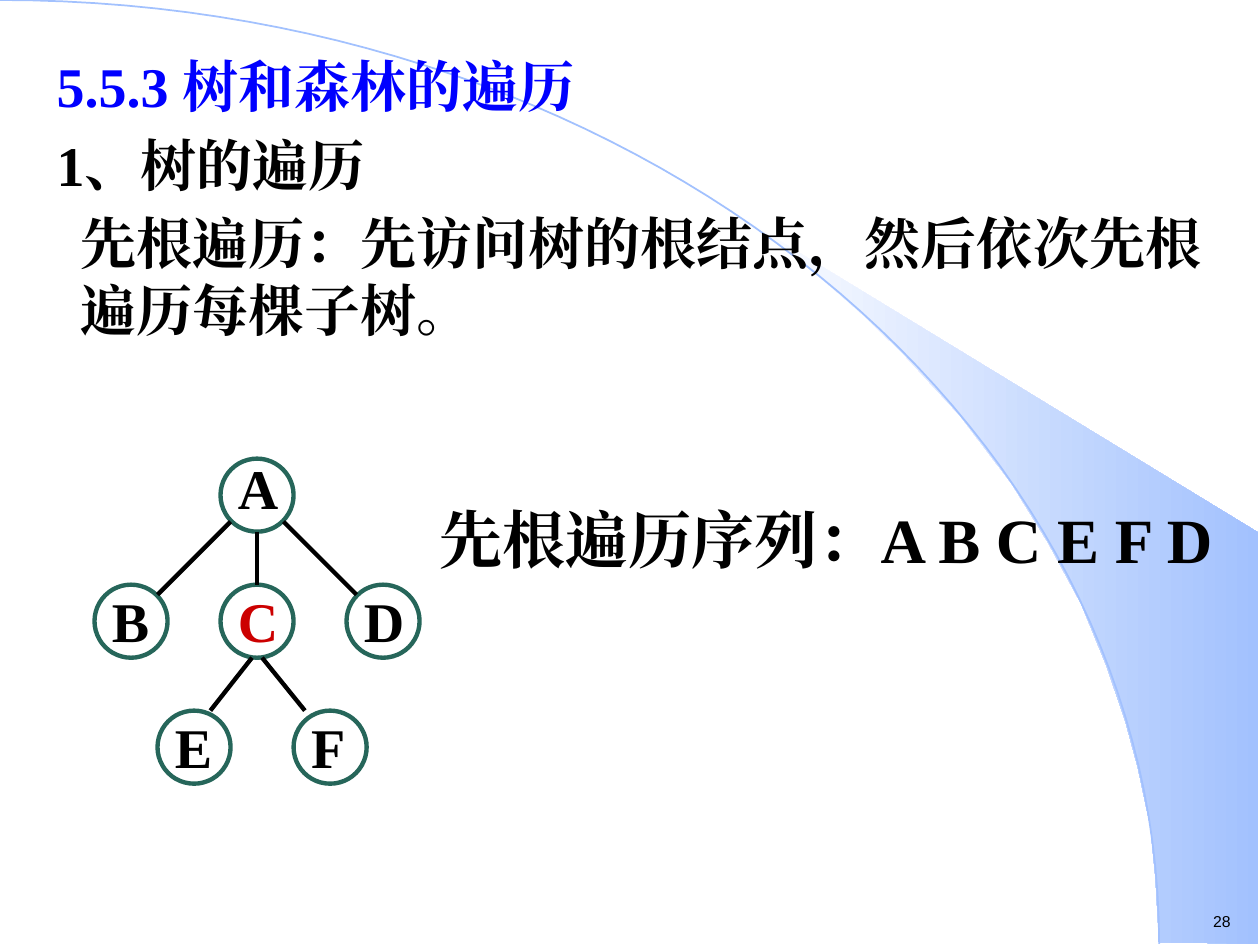
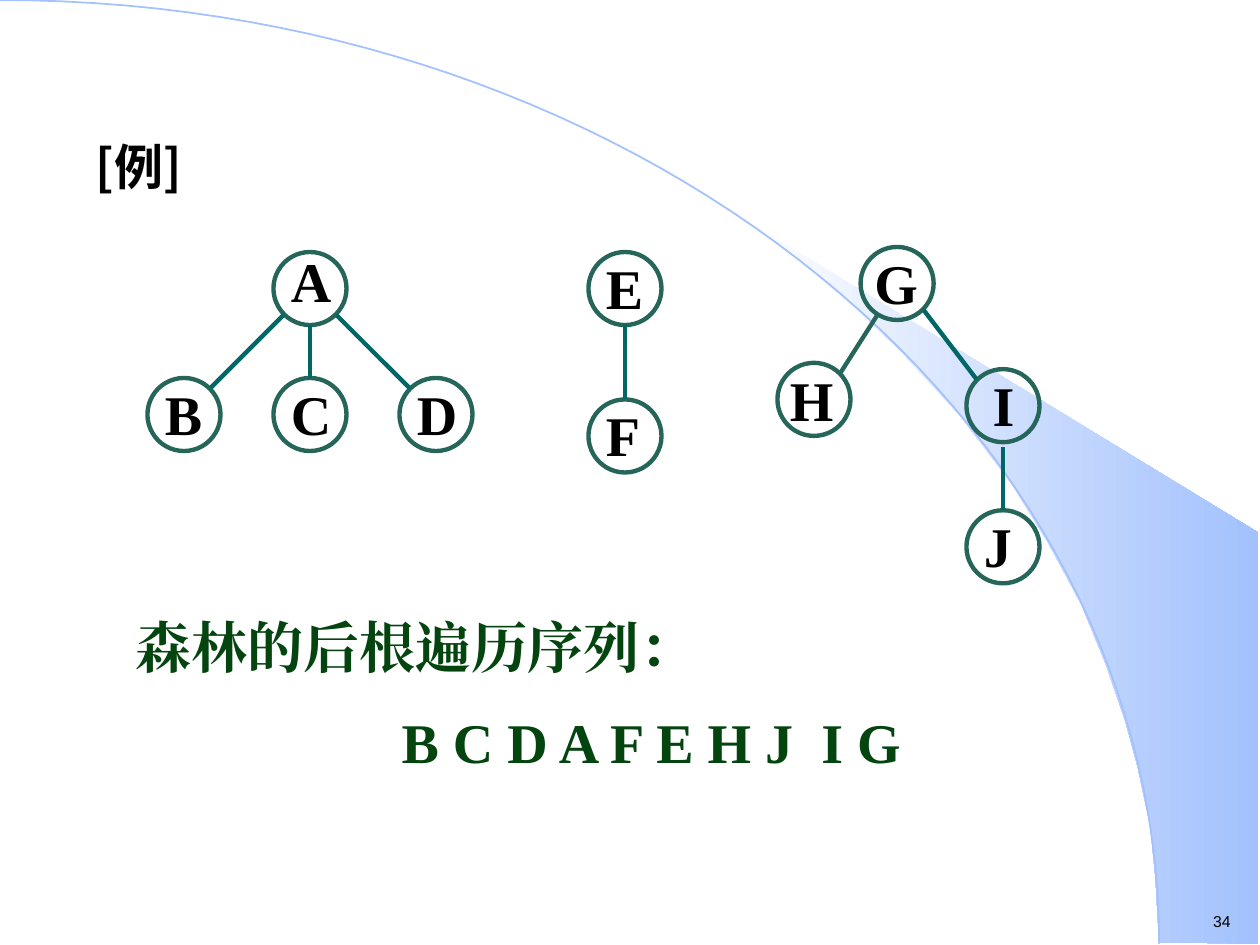
from lxml import etree
from pptx import Presentation
from pptx import util as u
from pptx.dml.color import RGBColor
from pptx.enum import shapes, text
from pptx.oxml import ns

COLORS = {
    "blue": "0000FF", "black": "000000", "red": "CC0000", "green": "04440F",
    "node": "26665A", "edge": "006666", "band": "A2C1FE", "white": "FFFFFF",
}
SERIF, SANS, CJK = "Times New Roman", "Arial", "Noto Sans CJK SC"
NODE_SIZE, LINE_WIDTH = 0.58, 2.5
RADIUS, DIAGONAL = 0.29, 0.21  # from a node's centre to its rim, straight and at 45 degrees

BAND_OUTLINE = [
    (9.2, 7.48), (9.99, 7.49), (9.99, 4.23), (5.89, 1.73), (6.24, 1.99), (6.53, 2.22),
    (6.85, 2.5), (7.16, 2.8), (7.62, 3.3), (8.03, 3.84), (8.32, 4.31), (8.58, 4.79),
    (8.78, 5.28), (8.93, 5.72), (9.03, 6.09), (9.13, 6.56), (9.17, 6.96),
]


def rgb(name):
    return RGBColor.from_string(COLORS[name])


def write(paragraph, content, size=32, color="black", bold=True, font=SERIF,
          before=0, spacing=None, margin=0, indent=0):
    """Fill one unbulleted paragraph with formatted text."""
    properties = paragraph._p.get_or_add_pPr()
    properties.set("marL", str(u.Inches(margin)))
    properties.set("indent", str(u.Inches(indent)))
    etree.SubElement(properties, ns.qn("a:buNone"))
    paragraph.space_before = u.Pt(before)
    if spacing:
        paragraph.line_spacing = spacing
    paragraph.alignment = text.PP_ALIGN.LEFT
    run = paragraph.add_run()
    run.text = content
    run.font.size, run.font.bold, run.font.name = u.Pt(size), bold, font
    run.font.color.rgb = rgb(color)
    east_asian = etree.Element(ns.qn("a:ea"), typeface=font)
    run._r.rPr.find(ns.qn("a:latin")).addnext(east_asian)


def write_all(frame, lines):
    """Write (text, format) pairs as the paragraphs of a text frame."""
    for number, (content, style) in enumerate(lines):
        paragraph = frame.add_paragraph() if number else frame.paragraphs[0]
        write(paragraph, content, **style)


def add_text(container, box, lines, wrap=True):
    shape = container.add_textbox(*map(u.Inches, box))
    shape.text_frame.word_wrap = wrap
    write_all(shape.text_frame, lines)


def add_outline(slide, points, close):
    start, *rest = [(u.Inches(x), u.Inches(y)) for x, y in points]
    builder = slide.shapes.build_freeform(*start)
    builder.add_line_segments(rest, close=close)
    shape = builder.convert_to_shape()
    shape.shadow.inherit = False
    return shape


def move_to_master(presentation, shape, position):
    presentation.slide_master.shapes.element.insert(position, shape.element)


def decorate_master(presentation, slide):
    """Shaded band and arc behind every slide."""
    band = add_outline(slide, BAND_OUTLINE, True)
    band.line.fill.background()
    band.fill.gradient()
    band.fill.gradient_angle = 0
    for stop, color, place in zip(band.fill.gradient_stops, ("white", "band"), (0, 1)):
        stop.color.rgb = rgb(color)
        stop.position = place

    # Cubic curve from the top left corner to the foot of the band
    width, height, steps = 9.2, 7.49, 60
    curve = []
    for step in range(steps + 1):
        t = step / steps
        s = 1 - t
        curve.append((3 * s * s * t * 5.08 + (3 * s * t * t + t ** 3) * width,
                      3 * s * t * t * 3.35 + t ** 3 * height))
    arc = add_outline(slide, curve, False)
    arc.fill.background()
    arc.line.color.rgb = rgb("band")
    arc.line.width = u.Pt(1)

    # Behind the master's own placeholders
    move_to_master(presentation, band, 2)
    move_to_master(presentation, arc, 3)


def add_slide(presentation, number):
    slide = presentation.slides.add_slide(presentation.slide_layouts[1])
    title = slide.shapes.title
    title.element.getparent().remove(title.element)
    add_text(slide.shapes, (9.53, 7.19, 0.35, 0.25),
             [(number, dict(size=9, bold=False, font=SANS))], wrap=False)
    return slide


def fill_body(slide, box, lines):
    body = slide.placeholders[1]
    body.left, body.top, body.width, body.height = map(u.Inches, box)
    body.text_frame.auto_size = text.MSO_AUTO_SIZE.NONE
    write_all(body.text_frame, lines)


def node(x, y, shift=(0.04, -0.09), color="black", spacing=1.1):
    return dict(x=x, y=y, shift=shift, color=color, spacing=spacing)


def rim_offsets(parent, child):
    """Where an edge leaves the parent and meets the child, from their centres."""
    run = child["x"] - parent["x"]
    if not run:
        return (0, RADIUS), (0, -RADIUS)
    side = DIAGONAL if run > 0 else -DIAGONAL
    return (side, DIAGONAL), (-side, -DIAGONAL)


def draw_tree(slide, left, top, nodes, edges, edge_color="edge"):
    """Draw a tree; edges are (parent and child, own rim offsets, own colour)."""
    group = slide.shapes.add_group_shape().shapes
    for name, place in nodes.items():
        x, y = left + place["x"], top + place["y"]
        circle = group.add_shape(shapes.MSO_SHAPE.OVAL,
                                 *map(u.Inches, (x, y, NODE_SIZE, NODE_SIZE)))
        circle.shadow.inherit = False
        circle.fill.background()
        circle.line.color.rgb = rgb("node")
        circle.line.width = u.Pt(LINE_WIDTH)
        dx, dy = place["shift"]
        add_text(group, (x + dx, y + dy, NODE_SIZE, 0.69),
                 [(name, dict(color=place["color"], spacing=place["spacing"]))])

    for (parent, child), *custom in edges:
        offsets = custom[0] if custom else rim_offsets(nodes[parent], nodes[child])
        ends = []
        for name, (dx, dy) in zip((parent, child), offsets):
            ends += [left + nodes[name]["x"] + RADIUS + dx,
                     top + nodes[name]["y"] + RADIUS + dy]
        line = group.add_connector(shapes.MSO_CONNECTOR.STRAIGHT, *map(u.Inches, ends))
        line.line.color.rgb = rgb(custom[1] if len(custom) > 1 else edge_color)
        line.line.width = u.Pt(LINE_WIDTH)
        etree.SubElement(line.element.spPr, ns.qn("a:effectLst"))


def three_children(**c_format):
    """Root A over B, C and D."""
    return {"A": node(1, 0, spacing=None), "C": node(1, 1, **c_format),
            "B": node(0, 1), "D": node(2, 1)}


def build_preorder_slide(slide):
    hanging = dict(margin=0.19, indent=-0.19)
    fill_body(slide, (0.35, 0.36, 9.37, 6.42), [
        ("5.5.3 树和森林的遍历", dict(color="blue", **hanging)),
        ("1、树的遍历", dict(before=6.4, **hanging)),
        ("先根遍历：先访问树的根结点，然后依次先根遍历每棵子树。",
         dict(before=6.4, margin=0.19)),
    ])
    add_text(slide.shapes, (3.39, 3.92, 6.44, 0.7),
             [("先根遍历序列：A B C E F D", dict(size=36))])
    nodes = three_children(color="red")
    nodes.update(E=node(0.5, 2), F=node(1.58, 2))
    draw_tree(slide, 0.75, 3.64, nodes, [
        ("AC",), ("AB",), ("AD",),
        ("CE", ((-0.04, 0.29), (0.13, -0.29))),
        ("CF", ((0.04, 0.29), (-0.2, -0.29))),
    ], edge_color="black")


def build_forest_slide(slide):
    fill_body(slide, (0.47, 1.03, 9.1, 5.71),
              [("[例]", dict(size=28, font=CJK, margin=0.19))])
    draw_tree(slide, 1.17, 2, three_children(), [("AC",), ("AB",), ("AD",)])
    draw_tree(slide, 4.67, 2, {"F": node(0, 1.17), "E": node(0, 0)}, [("EF",)])
    draw_tree(slide, 6.17, 1.96, {
        "G": node(0.66, 0, shift=(0.01, -0.04), spacing=None),
        "J": node(1.5, 2.09),
        "H": node(0, 0.92, shift=(0, -0.08)),
        "I": node(1.5, 0.97, shift=(0.11, -0.09)),
    }, [
        ("GH", ((-0.15, 0.24), (0.21, -0.21)), "node"),
        ("GI",),
        ("IJ", ((0, 0.33), (0, -0.29))),
    ])
    add_text(slide.shapes, (0.98, 4.81, 7.67, 1.43), [
        ("森林的后根遍历序列：", dict(color="green")),
        ("B C D A F E H J  I G", dict(color="green", before=16, margin=2.11)),
    ])


def main():
    presentation = Presentation()
    presentation.slide_width, presentation.slide_height = u.Inches(10), u.Inches(7.5)
    preorder_slide = add_slide(presentation, "28")
    decorate_master(presentation, preorder_slide)
    build_preorder_slide(preorder_slide)
    build_forest_slide(add_slide(presentation, "34"))
    presentation.save("out.pptx")


if __name__ == "__main__":
    main()
